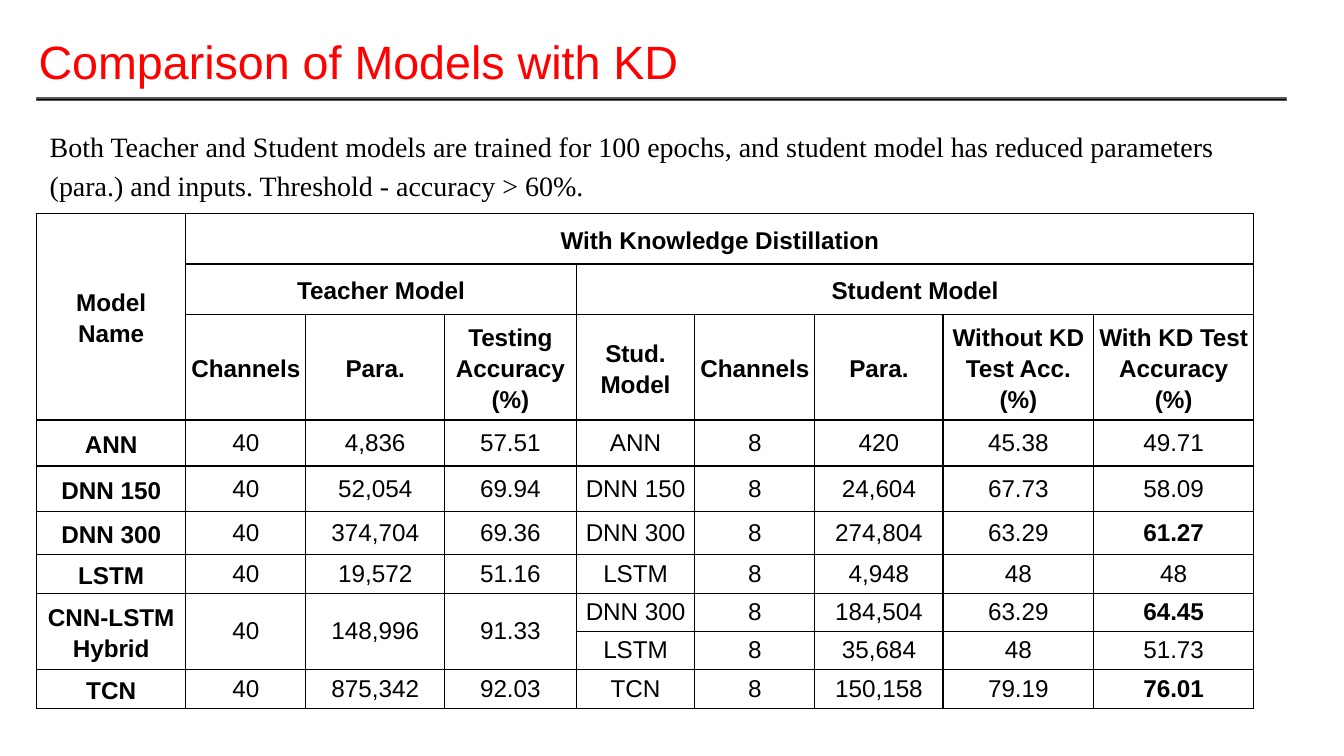
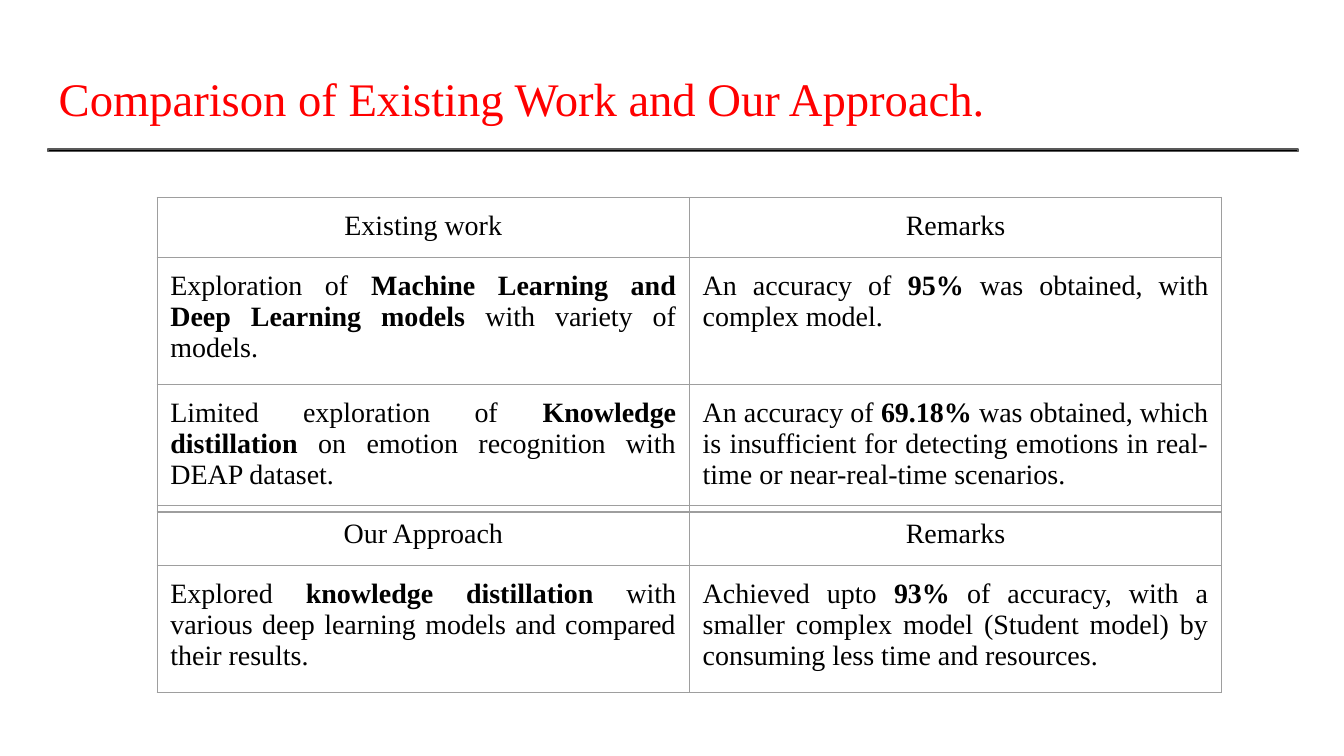
from lxml import etree
from pptx import Presentation
from pptx.dml.color import RGBColor
from pptx.enum.shapes import MSO_SHAPE
from pptx.enum.text import MSO_ANCHOR, PP_ALIGN
from pptx.oxml.ns import qn
from pptx.util import Cm, Pt

TOP, MIDDLE = MSO_ANCHOR.TOP, MSO_ANCHOR.MIDDLE
LEFT, CENTER, JUSTIFY = PP_ALIGN.LEFT, PP_ALIGN.CENTER, PP_ALIGN.JUSTIFY
RECT = MSO_SHAPE.RECTANGLE
SANS, SERIF = "Arial", "Times New Roman"
COLORS = {"title": "FF0000", "text": "000000", "rule": "000000",
          "rule_edge": "595959", "kd_border": "000000", "work_border": "9E9E9E"}
INSET = 0.25


def write(tf, text, size=15, font=SERIF, color="text", align=LEFT,
          spacing=None, after=None):
    """Fill the first paragraph; parts between ** are bold."""
    tf.word_wrap = True
    p = tf.paragraphs[0]
    p.alignment = align
    if spacing:
        p.line_spacing = spacing
    if after:
        p.space_after = Pt(after)
    for i, part in enumerate(text.split("**")):
        if part or not text:
            r = p.add_run()
            r.text = part
            r.font.size = Pt(size)
            r.font.name = font
            r.font.bold = i % 2 == 1
            r.font.color.rgb = RGBColor.from_string(COLORS[color])


def add_grid(s, left, top, widths, heights, border, margins, anchor):
    """Add a table without fill, with thin borders around every cell."""
    table = s.shapes.add_table(len(heights), len(widths), Cm(left), Cm(top),
                               Cm(sum(widths)), Cm(sum(heights))).table
    table.first_row = table.horz_banding = False
    for col, width in zip(table.columns, widths):
        col.width = Cm(width)
    for row, height in zip(table.rows, heights):
        row.height = Cm(height)
    for cell in table.iter_cells():
        cell.margin_left = cell.margin_right = Cm(margins[0])
        cell.margin_top = cell.margin_bottom = Cm(margins[1])
        cell.vertical_anchor = anchor
        cell.fill.background()
        tc_pr = cell._tc.get_or_add_tcPr()
        for i, side in enumerate(("a:lnL", "a:lnR", "a:lnT", "a:lnB")):
            ln = etree.Element(qn(side), w=str(Pt(0.75)))
            fill = etree.SubElement(ln, qn("a:solidFill"))
            etree.SubElement(fill, qn("a:srgbClr"), val=COLORS[border])
            tc_pr.insert(i, ln)
    return table


prs = Presentation()
prs.slide_width, prs.slide_height = Cm(25.4), Cm(14.29)

# Titles with the rule below: text, font, left, top, anchor, rule left, rule top
titles = [
    ("Comparison of Models with KD", SANS, 0.48, 0.25, MIDDLE, 0.69, 1.85),
    ("Comparison of Existing Work and Our Approach.", SERIF,
     0.86, 0.86, TOP, 0.91, 2.82),
]
slides = []
for title, font, left, top, anchor, rule_left, rule_top in titles:
    s = prs.slides.add_slide(prs.slide_layouts[6])
    tf = s.shapes.add_textbox(Cm(left), Cm(top), Cm(23.67), Cm(1.6)).text_frame
    tf.margin_left = tf.margin_right = Cm(INSET)
    tf.margin_top = tf.margin_bottom = Cm(INSET)
    tf.vertical_anchor = anchor
    write(tf, title, size=25, font=font, color="title", spacing=1.2, after=4)
    sp = s.shapes.add_shape(RECT, Cm(rule_left), Cm(rule_top), Cm(23.62), Cm(0.05))
    sp.shadow.inherit = False
    sp.fill.solid()
    sp.fill.fore_color.rgb = RGBColor.from_string(COLORS["rule"])
    sp.line.color.rgb = RGBColor.from_string(COLORS["rule_edge"])
    sp.line.width = Pt(0.75)
    slides.append(s)
kd_slide, work_slide = slides

# Slide 1: models with knowledge distillation
kd_rows = [
    ["Model Name", "With Knowledge Distillation"] + [""] * 7,
    ["", "Teacher Model", "", "", "Student Model"] + [""] * 4,
    ["", "Channels", "Para.", "Testing Accuracy (%)", "Stud. Model", "Channels",
     "Para.", "Without KD Test Acc. (%)", "With KD Test Accuracy (%)"],
    ["ANN", "40", "4,836", "57.51", "ANN", "8", "420", "45.38", "49.71"],
    ["DNN 150", "40", "52,054", "69.94", "DNN 150", "8", "24,604", "67.73", "58.09"],
    ["DNN 300", "40", "374,704", "69.36", "DNN 300", "8", "274,804", "63.29",
     "**61.27**"],
    ["LSTM", "40", "19,572", "51.16", "LSTM", "8", "4,948", "48", "48"],
    ["CNN-LSTM Hybrid", "40", "148,996", "91.33", "DNN 300", "8", "184,504",
     "63.29", "**64.45**"],
    ["", "", "", "", "LSTM", "8", "35,684", "48", "51.73"],
    ["TCN", "40", "875,342", "92.03", "TCN", "8", "150,158", "79.19", "**76.01**"],
]
header_rows = 3
kd_table = add_grid(
    kd_slide, 0.69, 4.04, [2.82, 2.27, 2.62, 2.49, 2.24, 2.27, 2.42, 2.85, 3.02],
    [0.95, 0.95, 1.85, 0.87, 0.86, 0.81] + [0.72] * 4,
    "kd_border", (0.07, 0.05), MIDDLE)

# Merged cells: first row, first column, last row, last column
merges = [(0, 0, 2, 0), (0, 1, 0, 8), (1, 1, 1, 3), (1, 4, 1, 8)]
merges += [(7, col, 8, col) for col in range(4)]
for top, left, bottom, right in merges:
    kd_table.cell(top, left).merge(kd_table.cell(bottom, right))

for i, row in enumerate(kd_rows):
    for j, text in enumerate(row):
        heading = i < header_rows or j == 0
        if heading and text:
            text = f"**{text}**"
        write(kd_table.cell(i, j).text_frame, text, size=13, font=SANS,
              align=CENTER, spacing=1.15 if heading else None)

# Slide 1: introduction
tf = kd_slide.shapes.add_textbox(Cm(0.69), Cm(2.11), Cm(22.91), Cm(1.93)).text_frame
tf.margin_left = tf.margin_right = Cm(INSET)
tf.margin_top = tf.margin_bottom = Cm(INSET)
write(tf, "Both Teacher and Student models are trained for 100 epochs, and student "
      "model has reduced parameters (para.) and inputs. Threshold - accuracy > 60%.",
      spacing=1.15, after=12)

# Slide 2: existing work and our approach
work_tables = [
    (3.73, [
        ["Existing work", "Remarks"],
        ["Exploration of **Machine Learning and Deep Learning models** with variety "
         "of models.",
         "An accuracy of **95%** was obtained, with complex model."],
        ["Limited exploration of **Knowledge distillation** on emotion recognition "
         "with DEAP dataset.",
         "An accuracy of **69.18%** was obtained, which is insufficient for "
         "detecting emotions in real-time or near-real-time scenarios."],
    ]),
    (9.55, [
        ["Our Approach", "Remarks"],
        ["Explored **knowledge distillation** with various deep learning models and "
         "compared their results.",
         "Achieved upto **93%** of accuracy, with a smaller complex model (Student "
         "model) by consuming less time and resources."],
    ]),
]
for top, rows in work_tables:
    table = add_grid(work_slide, 2.97, top, [10.06] * 2,
                     [1.09] + [2.25] * (len(rows) - 1),
                     "work_border", (INSET, INSET), TOP)
    for i, row in enumerate(rows):
        for j, text in enumerate(row):
            write(table.cell(i, j).text_frame, text,
                  align=JUSTIFY if i else CENTER)

prs.save("out.pptx")
